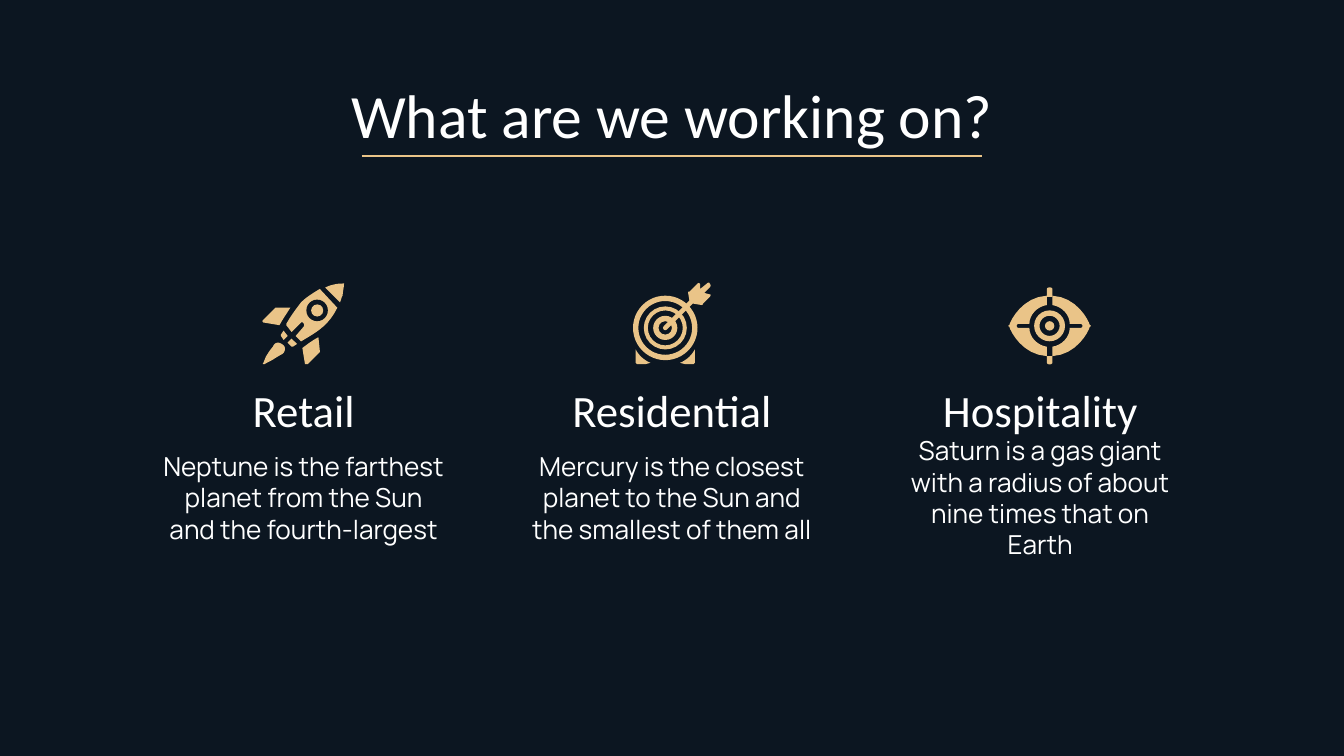
from lxml.etree import SubElement
from pptx import Presentation
from pptx.dml.color import RGBColor
from pptx.enum.shapes import MSO_CONNECTOR, MSO_SHAPE
from pptx.enum.text import MSO_ANCHOR, PP_ALIGN
from pptx.oxml.ns import qn
from pptx.util import Inches, Pt

NAVY, GOLD, WHITE = "0C1621", "EAC488", "FFFFFF"


def rgb(color):
    return RGBColor.from_string(color)


def unit(value):
    """Icon parts are measured in hundredths of an inch."""
    return Inches(value / 100)


def paint(sp, color=GOLD):
    sp.shadow.inherit = False
    sp.fill.solid()
    sp.fill.fore_color.rgb = rgb(color)
    sp.line.fill.background()


def add_text(slide, x, y, w, h, text, size, font):
    tf = slide.shapes.add_textbox(Inches(x), Inches(y), Inches(w), Inches(h)).text_frame
    tf.word_wrap = True
    tf.vertical_anchor = MSO_ANCHOR.MIDDLE
    tf.margin_left = tf.margin_right = tf.margin_top = tf.margin_bottom = Inches(0.1)
    p = tf.paragraphs[0]
    p.text = text
    p.alignment = PP_ALIGN.CENTER
    p.font.size, p.font.name = Pt(size), font
    p.font.color.rgb = rgb(WHITE)


def add_line(slide, x1, y1, x2, y2, width):
    line = slide.shapes.add_connector(
        MSO_CONNECTOR.STRAIGHT, Inches(x1), Inches(y1), Inches(x2), Inches(y2))
    line.line.color.rgb = rgb(GOLD)
    line.line.width = Pt(width)
    SubElement(line._element.spPr, qn("a:effectLst"))
    return line


def add_disc(slide, x, y, cx, cy, radius, color=GOLD, ring=None):
    """Draw a disc, or a ring of the given thickness, around (cx, cy)."""
    kind = MSO_SHAPE.DONUT if ring else MSO_SHAPE.OVAL
    sp = slide.shapes.add_shape(
        kind, Inches(x) + unit(cx - radius), Inches(y) + unit(cy - radius),
        unit(2 * radius), unit(2 * radius))
    if ring:
        sp.adjustments[0] = ring / (2 * radius)
    paint(sp, color)


def flatten(steps, count=8):
    """Turn points and six-number Bezier steps into plain points."""
    points = []
    for step in steps:
        if len(step) == 2:
            points.append(step)
            continue
        ends = [points[-1], step[:2], step[2:4], step[4:]]
        for i in range(1, count + 1):
            t = i / count
            weights = ((1 - t) ** 3, 3 * t * (1 - t) ** 2, 3 * t * t * (1 - t), t ** 3)
            points.append(tuple(sum(k * e[axis] for k, e in zip(weights, ends))
                                for axis in (0, 1)))
    return points


def add_outline(slide, x, y, steps, mirror=None):
    """Draw a closed outline; mirror is the x of an axis to flip it about."""
    points = flatten(steps)
    if mirror is not None:
        points = [(2 * mirror - px, py) for px, py in points]
    points = [(Inches(x) + unit(px), Inches(y) + unit(py)) for px, py in points]
    builder = slide.shapes.build_freeform(*points[0])
    builder.add_line_segments(points[1:], close=True)
    paint(builder.convert_to_shape())


def rocket_icon(slide, x, y):
    parts = [
        # Exhaust bands
        [(22, 41), (19, 44), (22, 47), (23, 47), (26, 45)],
        [(16, 35), (14, 38), (14, 39), (16, 42), (19, 39)],
        # Flame
        [(12, 44), (10, 44, 9, 45, 8, 47), (4, 52, 4, 53, 3, 54), (1, 59),
         (0, 60, 1, 60, 1, 60), (2, 60), (3, 59, 8, 57, 9, 56), (14, 53),
         (17, 52, 18, 48, 16, 46), (15, 45, 13, 44, 12, 44)],
        # Fins
        [(10, 18), (1, 27), (0, 28, 0, 28, 1, 29), (13, 31), (15, 27, 18, 23, 21, 18)],
        [(42, 40), (38, 42, 34, 45, 30, 48), (32, 60), (34, 60), (43, 51), (43, 50)],
        # Nose
        [(60, 0), (56, 0, 51, 1, 47, 3), (58, 14), (59, 12, 59, 10, 60, 9),
         (60, 6, 61, 3, 61, 0)],
        # Body
        [(43, 4), (38, 7, 33, 10, 29, 14), (26, 18, 22, 23, 18, 30), (18, 31),
         (22, 36), (29, 29), (30, 28, 32, 30, 31, 32), (25, 39), (29, 43),
         (43, 35, 50, 30, 56, 18)],
    ]
    for steps in parts:
        add_outline(slide, x, y, steps)
    # Window
    add_disc(slide, x, y, 41, 20, 8, NAVY)
    add_disc(slide, x, y, 41, 20, 4.5)


def target_icon(slide, x, y):
    # Feet
    foot = [(46, 50), (44, 54, 40, 58, 35, 60), (39, 61), (45, 61), (46, 60)]
    for mirror in (None, 24):
        add_outline(slide, x, y, foot, mirror)
    # Rings
    for radius, ring in ((24, 4), (16, 3), (9, 4)):
        add_disc(slide, x, y, 24, 34, radius, ring=ring)
    # Arrow shaft and feathers
    shaft = add_line(slide, x + 0.24, y + 0.34, x + 0.45, y + 0.13, 2.5)
    shaft.line._get_or_add_ln().set("cap", "rnd")
    add_outline(slide, x, y, [
        (42, 14), (41, 8), (41, 7, 41, 7, 42, 7), (48, 1), (49, 0, 50, 1, 50, 2),
        (50, 5), (55, 1), (56, 0, 57, 0, 57, 1), (58, 2, 58, 3, 57, 4), (53, 8),
        (57, 9), (58, 9, 58, 10, 57, 11), (52, 16), (52, 17, 51, 17, 51, 17), (45, 16)])


def eye_icon(slide, x, y):
    # Halves of the eye
    half = [(32, 6), (32, 13), (39, 14, 45, 20, 45, 27), (53, 27),
            (55, 27, 55, 30, 53, 30), (45, 30), (45, 37, 39, 43, 32, 44), (32, 51),
            (50, 50, 59, 33, 60, 29), (61, 29, 61, 28, 60, 28), (59, 24, 50, 7, 32, 6)]
    for mirror in (None, 30):
        add_outline(slide, x, y, half, mirror)
    # Iris and pupil
    add_disc(slide, x, y, 30, 28.5, 11.5, ring=4)
    add_disc(slide, x, y, 30, 28.5, 3.5)
    # Sight marks
    add_outline(slide, x, y, [(28, 7), (28, 1), (28, -0.5, 32, -0.5, 32, 1), (32, 7)])
    add_outline(slide, x, y, [(28, 51), (28, 56), (28, 57.5, 32, 57.5, 32, 56), (32, 51)])


def heading(slide, x, y, w):
    add_text(slide, x, y, w, 0.52, "What are we working on?", 33, "Calibri")
    middle = x + w / 2
    add_line(slide, middle - 2.31, y + 0.57, middle + 2.31, y + 0.57, 0.75)


def sector(slide, x, y, w, icon, icon_dx, icon_dy, name, text):
    icon(slide, x + icon_dx, y + icon_dy)
    add_text(slide, x, y + 0.76, w, 0.37, name, 24, "Calibri")
    add_text(slide, x, y + 1.21, w, 0.78, text, 14, "Manrope")


SECTORS = [
    (rocket_icon, 0.86, 0.01, "Retail",
     "Neptune is the farthest planet from the Sun and the fourth-largest"),
    (target_icon, 0.88, 0, "Residential",
     "Mercury is the closest planet to the Sun and the smallest of them all"),
    (eye_icon, 0.94, 0.04, "Hospitality",
     "Saturn is a gas giant with a radius of about nine times that on Earth"),
]


def main():
    prs = Presentation()
    # Widescreen, 16:9
    prs.slide_width = Inches(10)
    prs.slide_height = prs.slide_width * 9 // 16
    slide = prs.slides.add_slide(prs.slide_layouts[6])
    slide.background.fill.solid()
    slide.background.fill.fore_color.rgb = rgb(NAVY)
    heading(slide, 0.78, 0.59, 8.44)
    for i, details in enumerate(SECTORS):
        sector(slide, 1.09 + 2.74 * i, 2.1, 2.34, *details)
    prs.save("out.pptx")


if __name__ == "__main__":
    main()
